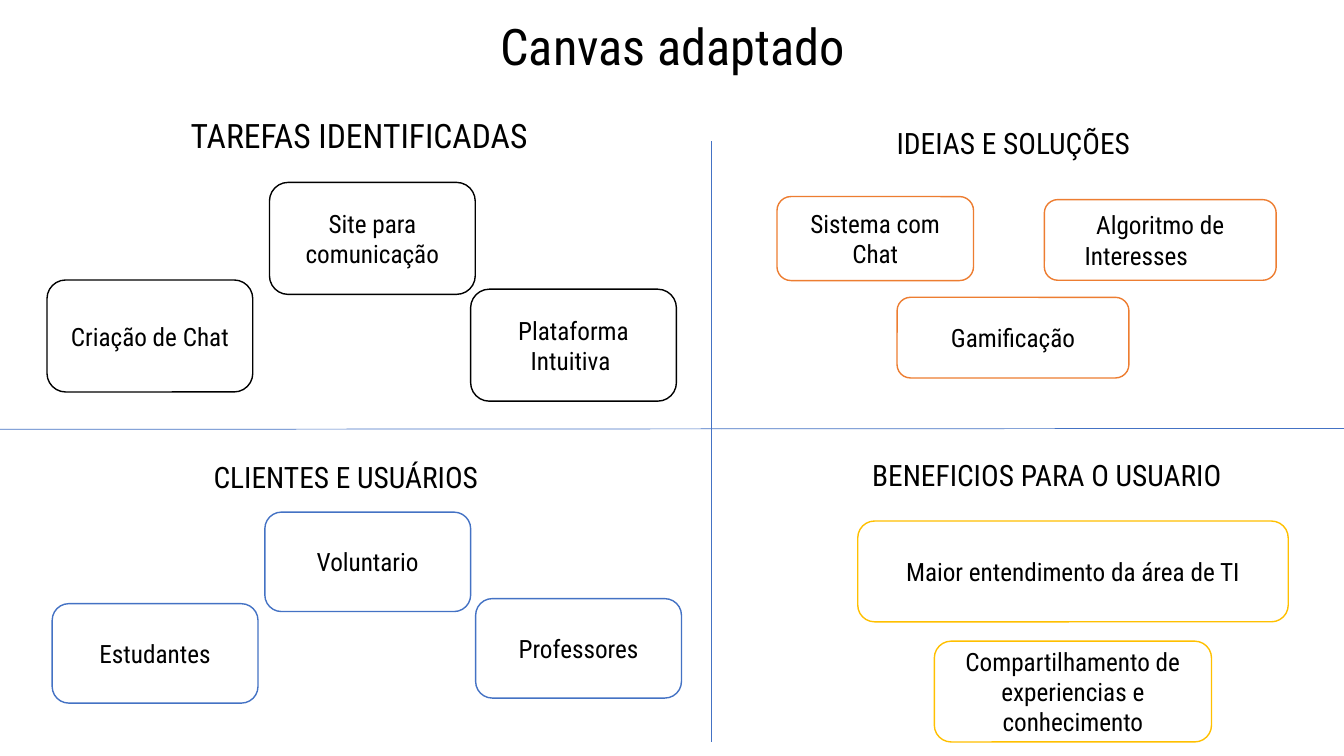
from pptx import Presentation
from pptx.dml.color import RGBColor
from pptx.enum.shapes import MSO_CONNECTOR as Connector, MSO_SHAPE as Shape
from pptx.enum.text import MSO_ANCHOR as Anchor, PP_ALIGN as Align
from pptx.oxml.ns import qn
from pptx.util import Pt
from lxml import etree

FONT = "Roboto Condensed"
BLACK = RGBColor(0x00, 0x00, 0x00)
WHITE = RGBColor(0xFF, 0xFF, 0xFF)
BLUE = RGBColor(0x44, 0x72, 0xC4)
ORANGE = RGBColor(0xED, 0x7D, 0x31)
GOLD = RGBColor(0xFF, 0xC0, 0x00)

PAGE_WIDTH, PAGE_HEIGHT = 960, 540
MIDDLE_X, MIDDLE_Y, QUADRANT_TOP = 508, 306, 72


def write(shape, text, size, anchor, spacing=None):
    frame = shape.text_frame
    frame.word_wrap = True
    frame.vertical_anchor = anchor
    frame.text = text
    para = frame.paragraphs[0]
    para.alignment = Align.CENTER
    if spacing:
        para.line_spacing = spacing
    font = para.runs[0].font
    font.name, font.size = FONT, Pt(size)
    font.color.rgb = BLACK


def add_text(page, box, text, size, anchor=Anchor.TOP, spacing=None):
    shape = page.shapes.add_textbox(*map(Pt, box))
    write(shape, text, size, anchor, spacing)


def add_note(page, box, text, color):
    note = page.shapes.add_shape(Shape.ROUNDED_RECTANGLE, *map(Pt, box))
    note.shadow.inherit = False
    note.fill.solid()
    note.fill.fore_color.rgb = WHITE
    note.line.color.rgb = color
    note.line.width = Pt(1)
    write(note, text, 18, Anchor.MIDDLE)


def add_divider(page, start, end):
    line = page.shapes.add_connector(Connector.STRAIGHT, *map(Pt, start + end))
    line.line.color.rgb = BLUE
    line.line.width = Pt(0.5)
    etree.SubElement(line._element.spPr, qn("a:effectLst"))


def add_quadrant(page, origin, heading, heading_box, color, notes,
                 size=21, spacing=None):
    """Place a heading and its notes relative to the quadrant's corner."""
    left, top = origin

    def place(box):
        x, y, width, height = box
        return left + x, top + y, width, height

    add_text(page, place(heading_box), heading, size, spacing=spacing)
    for text, box in notes:
        add_note(page, place(box), text, color)


deck = Presentation()
deck.slide_width, deck.slide_height = Pt(PAGE_WIDTH), Pt(PAGE_HEIGHT)
page = deck.slides.add_slide(deck.slide_layouts[6])

# Title
add_text(page, (160.5, 10, 640, 48.3), "Canvas adaptado", 36, Anchor.BOTTOM, 0.9)

# Dividing lines
add_divider(page, (0, 306.7), (963, 306))
add_divider(page, (MIDDLE_X, 101), (MIDDLE_X, 530))

# Tasks
task = (147, 80)
add_quadrant(page, (0, QUADRANT_TOP), "TAREFAS IDENTIFICADAS",
             (114.5, 10, 284, 42.5), BLACK, [
                 ("Plataforma Intuitiva ", (336.2, 134.6, *task)),
                 ("Criação de Chat", (33.6, 128, *task)),
                 ("Site para comunicação", (192.5, 58.3, *task)),
             ], size=24, spacing=0.9)

# Ideas
idea = (165.6, 57.6)
add_quadrant(page, (MIDDLE_X, QUADRANT_TOP), "IDEIAS E SOLUÇÕES",
             (73.8, 13.7, 284, 42.5), ORANGE, [
                 ("Sistema com Chat", (47, 68.4, 140.4, 60)),
                 ("Algoritmo de Interesses\t", (238, 70.6, *idea)),
                 ("Gamificação", (132.8, 140.4, *idea)),
             ])

# Clients
client = (147, 71)
add_quadrant(page, (0, MIDDLE_Y), "CLIENTES E USUÁRIOS",
             (105, 18.7, 284, 42.5), BLUE, [
                 ("Estudantes", (37.3, 125.2, *client)),
                 ("Professores", (339.8, 121.6, *client)),
                 ("Voluntario", (189.2, 59.8, *client)),
             ])

# Benefits
add_quadrant(page, (MIDDLE_X, MIDDLE_Y), "BENEFICIOS PARA O USUARIO",
             (27.7, 16.6, 424, 34), GOLD, [
                 ("Maior entendimento da área de TI", (104.7, 66.2, 307.5, 72)),
                 ("Compartilhamento de experiencias e conhecimento",
                  (159.4, 152, 198, 72)),
             ])

deck.save("out.pptx")
